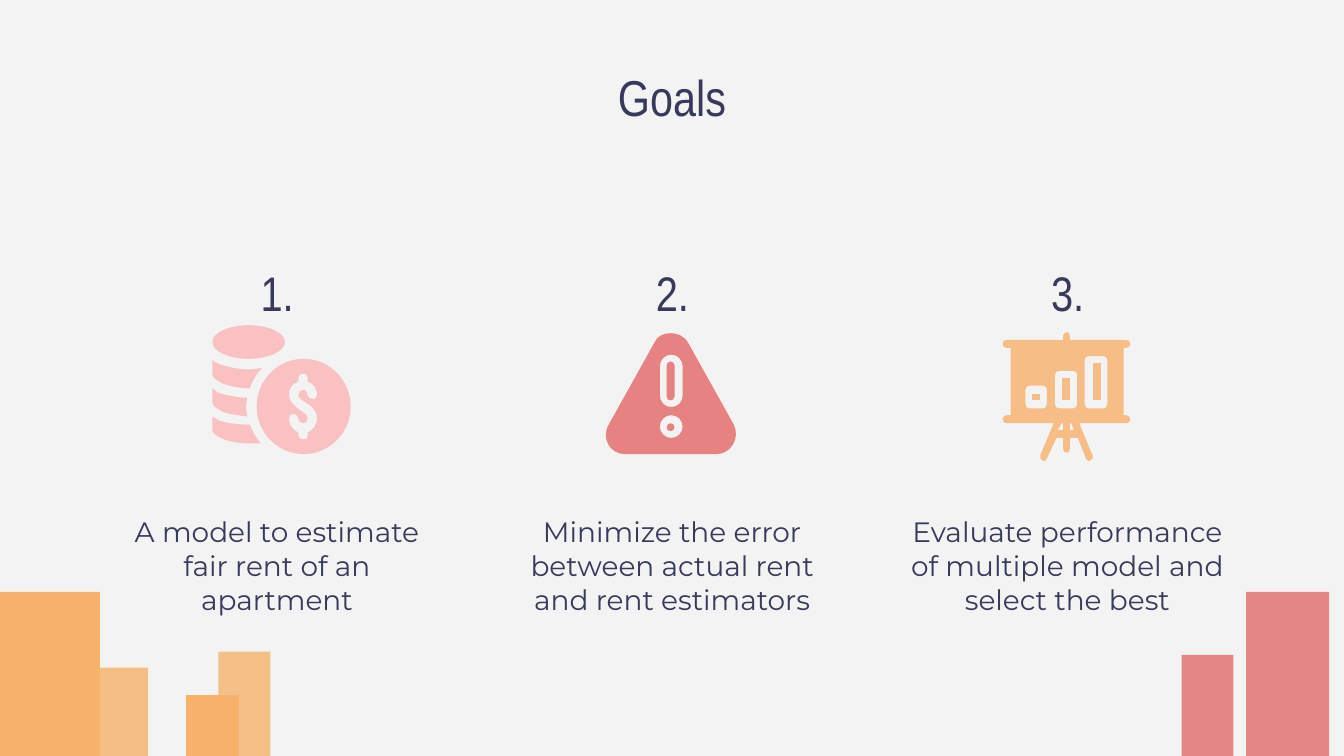
from typing import NamedTuple

from lxml.etree import SubElement
from pptx import Presentation
from pptx.dml.color import RGBColor
from pptx.enum.shapes import MSO_SHAPE
from pptx.enum.text import MSO_ANCHOR, PP_ALIGN
from pptx.oxml.ns import qn
from pptx.util import Cm, Pt

COLORS = {
    "background": "F3F3F3",
    "ink": "373A5A",
    "amber": "F6B26B",
    "red": "E06666",
    "coin": "F9C1C1",
    "warning": "E68281",
    "board": "F6BE86",
}
SLIDE_W, SLIDE_H = 25.4, 14.29
COLUMN_PITCH = 7.47
UNIT = Cm(2.54) // 100  # icon paths are drawn on a grid of 100 units to the inch


class Bar(NamedTuple):
    left: float
    top: float
    width: float
    color: str
    opacity: int = 100


class Goal(NamedTuple):
    number: str
    text: str


class Icon(NamedTuple):
    color: str
    paths: list[str]


class Segment(NamedTuple):
    command: str
    points: list[tuple[int, int]]


BARS = [
    Bar(0, 11.19, 1.89, "amber"),
    Bar(1.45, 12.62, 1.35, "amber", 81),
    Bar(3.52, 13.14, 0.99, "amber"),
    Bar(4.13, 12.32, 0.98, "amber", 78),
    Bar(22.33, 12.38, 0.98, "red", 77),
    Bar(23.55, 11.19, 1.57, "red", 77),
]

GOALS = [
    Goal("1.", "A model to estimate fair rent of an apartment"),
    Goal("2.", "Minimize the error between actual rent and rent estimators"),
    Goal("3.", "Evaluate performance of multiple model and select the best"),
]


def box(left: float, top: float, right: float, bottom: float) -> str:
    return f"M {left} {top} L {left} {bottom} L {right} {bottom} L {right} {top} "


def round_box(left: float, top: float, right: float, bottom: float,
              rx: float, ry: float | None = None) -> str:
    """Path of a box with elliptical corners; full radii make an ellipse."""
    ry = rx if ry is None else ry
    kx, ky = rx * 0.45, ry * 0.45
    wide, tall = right - left > 2 * rx, bottom - top > 2 * ry
    return (
        f"M {left + rx} {top} " + f"L {right - rx} {top} " * wide
        + f"C {right - kx} {top} {right} {top + ky} {right} {top + ry} "
        + f"L {right} {bottom - ry} " * tall
        + f"C {right} {bottom - ky} {right - kx} {bottom} {right - rx} {bottom} "
        + f"L {left + rx} {bottom} " * wide
        + f"C {left + kx} {bottom} {left} {bottom - ky} {left} {bottom - ry} "
        + f"L {left} {top + ry} " * tall
        + f"C {left} {top + ky} {left + kx} {top} {left + rx} {top} "
    )


DOLLAR = (
    "M 226 278 C 228 278 229 279 229 281 L 229 284 C 233 285 236 289 236 294 "
    "C 236 296 234 297 233 297 C 231 297 229 295 229 294 C 229 292 227 290 226 290 "
    "C 224 290 222 292 222 294 C 222 296 225 298 228 300 C 232 302 236 306 236 311 "
    "C 236 316 233 320 229 322 L 229 324 C 229 326 228 327 226 327 "
    "C 224 327 222 326 222 324 L 222 322 C 218 320 215 316 215 311 "
    "C 215 309 217 308 219 308 C 220 308 222 310 222 311 C 222 314 224 315 226 315 "
    "C 228 315 229 313 229 311 C 229 309 226 307 223 305 C 220 303 215 299 215 294 "
    "C 215 289 218 285 222 284 L 222 281 C 222 279 224 278 226 278 "
)
COIN_BANDS = [
    "M 158 268 L 158 278 C 158 281 161 283 165 285 C 169 287 178 289 185 289 "
    "L 186 289 C 188 283 191 278 195 274 L 195 274 C 192 274 189 275 185 275 "
    "C 178 275 169 273 163 271 C 161 270 159 269 158 268",
    "M 158 310 L 158 320 C 158 324 169 330 185 330 C 188 330 191 330 194 330 "
    "C 191 326 188 322 186 316 L 185 316 C 178 316 169 315 163 313 "
    "C 161 312 159 311 158 310",
    "M 158 289 L 158 299 C 158 302 161 304 165 306 C 169 308 177 309 184 310 "
    "C 184 307 183 305 183 303 C 183 300 184 298 184 296 "
    "C 177 296 168 294 162 292 C 161 291 159 290 158 289",
]
TRIANGLE = (
    "M 499 248 C 494 248 489 250 487 255 L 453 316 C 447 326 454 338 465 338 "
    "L 533 338 C 544 338 551 326 546 316 L 512 255 C 509 250 504 248 499 248 "
)
EASEL = (
    "M 794 247 C 792 247 791 249 791 250 L 791 253 L 749 253 C 747 253 746 254 746 256 "
    "C 746 257 747 259 749 259 L 752 259 L 752 309 L 749 309 C 747 309 746 311 746 312 "
    "C 746 314 747 315 749 315 L 784 315 L 774 339 C 774 341 774 342 776 343 "
    "C 776 343 777 343 777 343 C 778 343 779 342 779 341 L 786 326 L 791 326 L 791 334 "
    "C 791 336 792 337 794 337 C 795 337 796 336 796 334 L 796 326 L 802 326 L 808 341 "
    "C 808 342 809 343 810 343 C 811 343 811 343 811 343 C 813 342 814 340 813 339 "
    "L 803 315 L 838 315 C 840 315 841 314 841 312 C 841 311 840 309 838 309 L 836 309 "
    "L 836 259 L 838 259 C 840 259 841 257 841 256 C 841 254 840 253 838 253 L 796 253 "
    "L 796 250 C 796 249 795 247 794 247 "
    "M 791 315 L 791 320 L 787 320 L 790 315 M 797 315 L 799 320 L 796 320 L 796 315 "
)
chart_frames = "".join(
    round_box(763 + 22 * i, 287 - 11 * i, 779 + 22.5 * i, 304, 3) for i in range(3))
chart_bars = [
    box(768 + 22.5 * i, 293 - 11.5 * i, 774 + 22.5 * i, 298) for i in range(3)]

ICONS = [
    Icon("coin", [round_box(191, 267, 261, 338, 35, 35.5) + DOLLAR,
                  round_box(158, 242, 212, 267, 27, 12.5), *COIN_BANDS]),
    Icon("warning", [TRIANGLE + round_box(491, 264, 508, 303, 8.5)
                     + round_box(491, 309, 508, 326, 8.5),
                     round_box(496, 269, 502, 298, 3),
                     round_box(496, 315, 502, 321, 3)]),
    Icon("board", [EASEL + chart_frames, *chart_bars]),
]


def rgb(name: str) -> RGBColor:
    return RGBColor.from_string(COLORS[name])


def paint(sp, color: str, opacity: int = 100) -> None:
    sp.shadow.inherit = False
    sp.fill.solid()
    sp.fill.fore_color.rgb = rgb(color)
    sp.line.fill.background()
    if opacity < 100:
        clr = sp.fill._xPr.find(f".//{qn('a:srgbClr')}")
        SubElement(clr, qn("a:alpha"), val=str(opacity * 1000))


def read_path(path: str) -> list[Segment]:
    segments = []
    tokens = iter(path.split())
    for command in tokens:
        count = 6 if command == "C" else 2
        nums = [round(float(next(tokens)) * UNIT) for _ in range(count)]
        segments.append(Segment(command, list(zip(nums[::2], nums[1::2]))))
    return segments


def add_outline(group, path: str, color: str) -> None:
    """Build the outline through its end points, then bend the curved segments."""
    first, *rest = segments = read_path(path)
    builder = group.shapes.build_freeform(*first.points[0], scale=1.0)
    for seg in rest:
        if seg.command == "M":
            builder.add_line_segments([], close=True)
            builder.move_to(*seg.points[0])
        else:
            builder.add_line_segments([seg.points[-1]], close=False)
    builder.add_line_segments([], close=True)
    sp = builder.convert_to_shape()
    outline = sp._element.find(f".//{qn('a:path')}")
    nodes = [node for node in outline if node.tag != qn("a:close")]
    for node, seg in zip(nodes, segments):
        if seg.command == "C":
            curve = SubElement(outline, qn("a:cubicBezTo"))
            for x, y in seg.points:
                SubElement(curve, qn("a:pt"), x=str(x - sp.left), y=str(y - sp.top))
            outline.replace(node, curve)
    paint(sp, color)


def add_icon(s, icon: Icon) -> None:
    group = s.shapes.add_group_shape()
    for path in icon.paths:
        add_outline(group, path, icon.color)


def add_bar(s, bar: Bar) -> None:
    sp = s.shapes.add_shape(MSO_SHAPE.RECTANGLE, Cm(bar.left), Cm(bar.top),
                            Cm(bar.width), Cm(SLIDE_H - bar.top))
    paint(sp, bar.color, bar.opacity)


def add_text(s, text: str, left: float, top: float, width: float, height: float, *,
             size: int, font: str = "Arial Narrow", inset_top: float = 0.89,
             inset_bottom: float = 0.25, spacing: float = 1.0, after: int = 16) -> None:
    tf = s.shapes.add_textbox(Cm(left), Cm(top), Cm(width), Cm(height)).text_frame
    tf.word_wrap = True
    tf.vertical_anchor = MSO_ANCHOR.MIDDLE
    tf.margin_left = tf.margin_right = Cm(0.25)
    tf.margin_top, tf.margin_bottom = Cm(inset_top), Cm(inset_bottom)
    p = tf.paragraphs[0]
    p.alignment = PP_ALIGN.CENTER
    p.line_spacing = spacing
    p.space_after = Pt(after)
    r = p.add_run()
    r.text = text
    r.font.name, r.font.size = font, Pt(size)
    r.font.color.rgb = rgb("ink")


def main() -> None:
    prs = Presentation()
    prs.slide_width, prs.slide_height = Cm(SLIDE_W), Cm(SLIDE_H)
    s = prs.slides.add_slide(prs.slide_layouts[6])
    s.background.fill.solid()
    s.background.fill.fore_color.rgb = rgb("background")
    for bar in BARS:
        add_bar(s, bar)
    add_text(s, "Goals", 1.98, 0.98, 21.44, 1.7, size=27, inset_top=0.25, after=0)
    for i, (goal, icon) in enumerate(zip(GOALS, ICONS)):
        x = i * COLUMN_PITCH
        add_text(s, goal.number, 3.74 + x, 4.36, 3, 1.27, size=26,
                 inset_bottom=0, spacing=1.15)
        add_text(s, goal.text, 1.91 + x, 9.35, 6.65, 2.03, size=15, font="Montserrat")
        add_icon(s, icon)
    prs.save("out.pptx")


if __name__ == "__main__":
    main()
